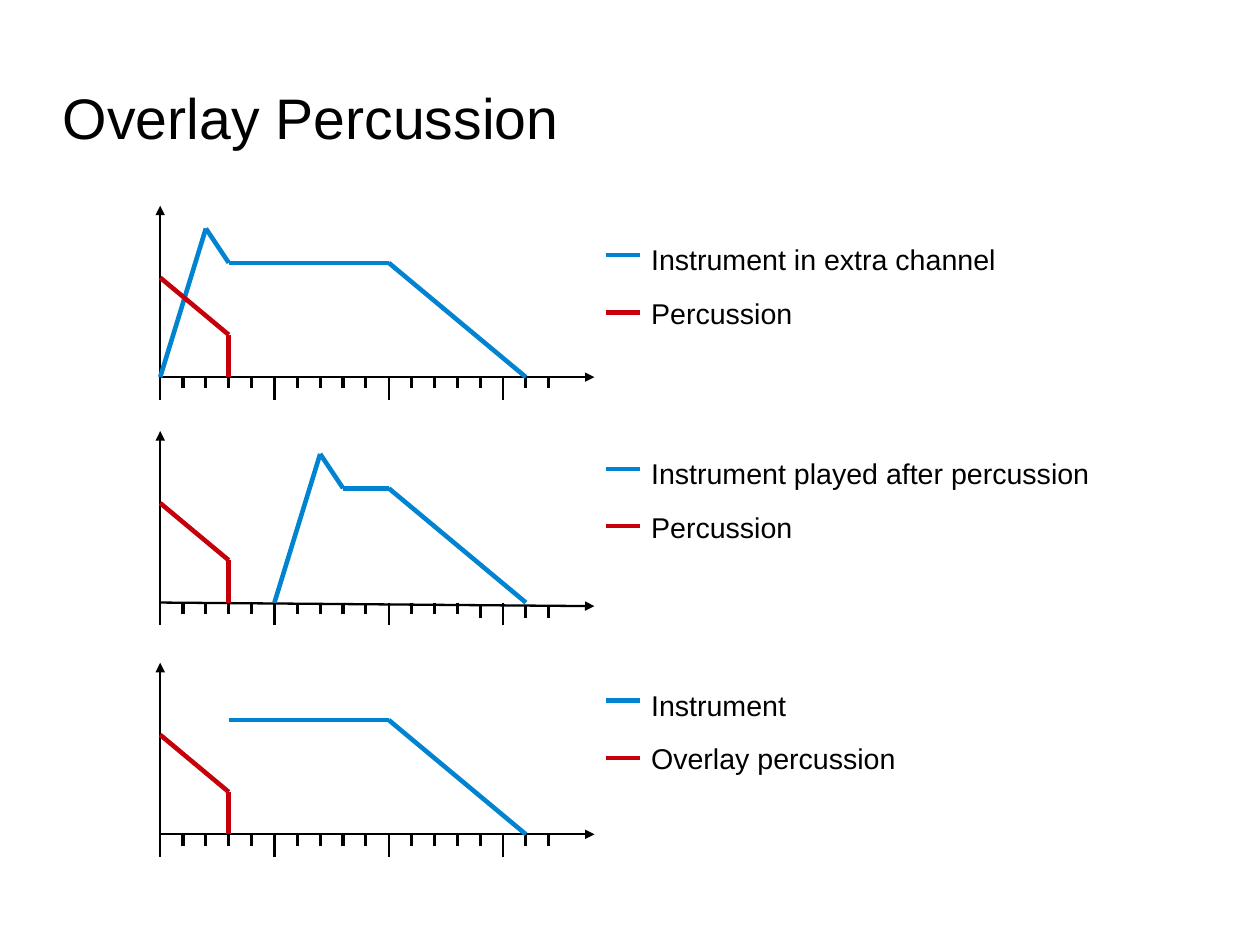
from dataclasses import dataclass
from itertools import pairwise

from lxml.etree import SubElement
from pptx import Presentation
from pptx.dml.color import RGBColor
from pptx.enum.shapes import MSO_CONNECTOR
from pptx.enum.text import MSO_ANCHOR, MSO_AUTO_SIZE, PP_ALIGN
from pptx.oxml.ns import qn
from pptx.util import Cm, Pt


@dataclass(frozen=True)
class Theme:
    """Colours, type sizes and line widths of the slide."""
    font: str = "Arial"
    ink: RGBColor = RGBColor(0x00, 0x00, 0x00)
    instrument: RGBColor = RGBColor(0x00, 0x84, 0xD1)
    percussion: RGBColor = RGBColor(0xC5, 0x00, 0x0B)
    title_size: Pt = Pt(36)
    label_size: Pt = Pt(18)
    hairline: Pt = Pt(0)
    axis_width: Pt = Pt(1.45)
    curve_width: Pt = Pt(2.89)


@dataclass(frozen=True)
class Box:
    """A region of the slide."""
    left: int
    top: int
    width: int
    height: int


THEME = Theme()
AXIS_TICKS = 19
LABELLED_TICKS = 18
TICKS_PER_BEAT = 5
SAGGING_TICKS = (14, 16, 17)
PERCUSSION = [(0, 4.35), (3, 1.85), (3, 0)]
PANELS = [
    (Cm(4.57), Cm(5.26), Cm(0), [(0, 0), (2, 6.5), (3, 5), (10, 5), (16, 0)],
     [("Instrument in extra channel", Cm(10.67)), ("Percussion", Cm(4.57))]),
    (Cm(9.58), Cm(10.01), Cm(0.08), [(5, 0), (7, 6.5), (8, 5), (10, 5), (16, 0)],
     [("Instrument played after percussion", Cm(10.67)), ("Percussion", Cm(4.57))]),
    (Cm(14.73), Cm(15.16), Cm(0), [(3, 5), (10, 5), (16, 0)],
     [("Instrument", Cm(10.67)), ("Overlay percussion", Cm(9.65))]),
]


def draw_line(slide, start, end, color, width, arrow=False):
    """Draw a straight line, with an arrowhead at its end if asked."""
    ends = [round(value) for value in (*start, *end)]
    line = slide.shapes.add_connector(MSO_CONNECTOR.STRAIGHT, *ends)
    line.line.color.rgb = color
    line.line.width = width
    properties = line._element.spPr
    if arrow:
        SubElement(properties.find(qn("a:ln")), qn("a:tailEnd"), type="triangle")
    SubElement(properties, qn("a:effectLst"))


def style_paragraph(paragraph, size):
    """Give a paragraph the slide's font, the ink colour and a size."""
    paragraph.alignment = PP_ALIGN.LEFT
    paragraph.font.name = THEME.font
    paragraph.font.size = size
    paragraph.font.color.rgb = THEME.ink


def add_title(slide, box, wording):
    """Place the slide title in the box."""
    title = slide.shapes.title
    title.left, title.top, title.width, title.height = box.left, box.top, box.width, box.height
    frame = title.text_frame
    frame.text = wording
    frame.vertical_anchor = MSO_ANCHOR.MIDDLE
    frame.margin_left = frame.margin_right = frame.margin_top = frame.margin_bottom = 0
    style_paragraph(frame.paragraphs[0], THEME.title_size)


def add_axes(slide, box, sag):
    """Draw both axes and the time ticks, the time axis falling by sag."""
    tick = box.width / AXIS_TICKS
    base = box.top + box.height
    origin = (box.left, base)
    time_end = (box.left + box.width, base + sag)
    for tip in ((box.left, box.top), time_end):
        draw_line(slide, origin, tip, THEME.ink, THEME.axis_width, arrow=True)
    for number in range(LABELLED_TICKS):
        is_beat = number % TICKS_PER_BEAT == 0
        x = box.left + number * tick
        y = base + (sag if number in SAGGING_TICKS else 0)
        length = tick if is_beat else tick / 2
        width = THEME.axis_width if is_beat else THEME.hairline
        draw_line(slide, (x, y), (x, y + length), THEME.ink, width)


def add_envelope(slide, box, levels, color):
    """Draw an envelope given as (time, level) pairs counted in ticks."""
    tick = box.width / AXIS_TICKS
    base = box.top + box.height
    points = [(box.left + time * tick, base - level * tick) for time, level in levels]
    for start, end in pairwise(points):
        draw_line(slide, start, end, color, THEME.curve_width)


def add_chart_panel(slide, box, sag, instrument):
    """Draw the axes with the instrument and percussion envelopes."""
    add_axes(slide, box, sag)
    add_envelope(slide, box, instrument, THEME.instrument)
    add_envelope(slide, box, PERCUSSION, THEME.percussion)


def add_legend(slide, box, entries):
    """Place a colour swatch and a label for each entry."""
    swatch = Cm(0.76)
    colors = (THEME.instrument, THEME.percussion)
    for row, ((wording, width), color) in enumerate(zip(entries, colors)):
        y = box.top + Cm(0.41) + row * Cm(1.27)
        draw_line(slide, (box.left, y), (box.left + swatch, y), color, THEME.curve_width)
        label = slide.shapes.add_textbox(
            box.left + swatch, box.top + row * Cm(1.19), width, box.height - Cm(1.19))
        frame = label.text_frame
        frame.word_wrap = True
        frame.auto_size = MSO_AUTO_SIZE.SHAPE_TO_FIT_TEXT
        frame.text = wording
        style_paragraph(frame.paragraphs[0], THEME.label_size)


def main():
    """Build the slide and save it."""
    deck = Presentation()
    deck.slide_width, deck.slide_height = Cm(28), Cm(21)
    slide = deck.slides.add_slide(deck.slide_layouts.get_by_name("Title Only"))
    add_title(slide, Box(Cm(1.4), Cm(1.6), Cm(20), Cm(2)), "Overlay Percussion")
    for chart_top, legend_top, sag, instrument, entries in PANELS:
        add_chart_panel(slide, Box(Cm(3.56), chart_top, Cm(9.65), Cm(3.81)), sag, instrument)
        add_legend(slide, Box(Cm(13.46), legend_top, Cm(11.43), Cm(2.87)), entries)
    deck.save("out.pptx")


if __name__ == "__main__":
    main()
